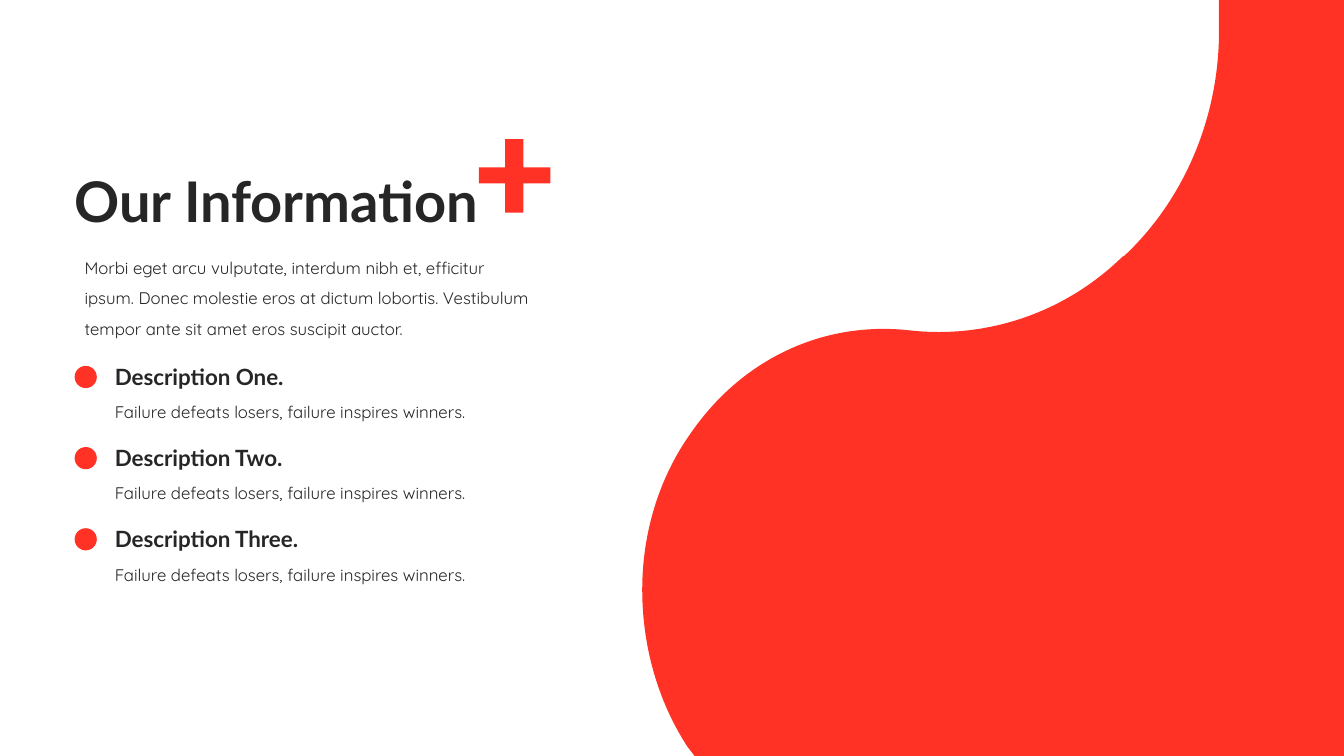
from lxml.etree import SubElement
from pptx import Presentation
from pptx.dml.color import RGBColor
from pptx.enum.shapes import MSO_SHAPE
from pptx.enum.text import MSO_ANCHOR, MSO_AUTO_SIZE, PP_ALIGN
from pptx.oxml.ns import qn
from pptx.util import Inches, Pt

WIDTH, HEIGHT = 13.33, 7.5
RED, DARK = "FF3225", "262626"
MARGIN_COLUMN, TEXT_COLUMN = 0.74, 1.04
FIRST_ROW, ROW_PITCH = 3.55, 0.805
DOT_SIZE = 0.22

HEADING = {"name": "Lato", "size": Pt(16), "bold": True}
TITLE = {**HEADING, "size": Pt(40)}
BODY = {"name": "Quicksand", "size": Pt(12), "bold": False}

DESCRIPTIONS = ["Description One.", "Description Two.", "Description Three."]
DETAIL = "Failure defeats losers, failure inspires winners."
INTRODUCTION = (
    "Morbi eget arcu vulputate, interdum nibh et, efficitur ipsum. "
    "Donec molestie eros at dictum lobortis. Vestibulum tempor ante "
    "sit amet eros suscipit auctor."
)

WAVE_CORNERS = [(12.09, 0), (WIDTH, 0), (WIDTH, HEIGHT), (6.89, HEIGHT), (6.82, 7.41)]
WAVE_CURVES = [
    (6.52, 6.95), (6.37, 6.4), (6.37, 5.85),
    (6.37, 5.3), (6.53, 4.75), (6.85, 4.3),
    (7.38, 3.53), (8.21, 3.18), (9.04, 3.28),
    (9.8, 3.36), (10.56, 3.1), (11.12, 2.56),
    (11.13, 2.55), (11.14, 2.54), (11.15, 2.54),
    (11.76, 1.97), (12.11, 1.12), (12.09, 0.24),
]


def color(hex_value):
    return RGBColor.from_string(hex_value)


def box(left, top, width, height):
    return [Inches(length) for length in (left, top, width, height)]


def paint(shape):
    shape.shadow.inherit = False
    shape.fill.solid()
    shape.fill.fore_color.rgb = color(RED)
    shape.line.fill.background()


def write(shape, text, font, anchor=MSO_ANCHOR.TOP, alignment=PP_ALIGN.LEFT, spacing=1.0):
    frame = shape.text_frame
    frame.text = text
    frame.word_wrap = True
    frame.auto_size = MSO_AUTO_SIZE.NONE
    frame.vertical_anchor = anchor
    paragraph = frame.paragraphs[0]
    paragraph.alignment = alignment
    paragraph.line_spacing = spacing
    run_font = paragraph.runs[0].font
    for attribute, value in font.items():
        setattr(run_font, attribute, value)
    run_font.color.rgb = color(DARK)


def add_outline(slide, points):
    vertices = [(Inches(x), Inches(y)) for x, y in points]
    builder = slide.shapes.build_freeform(*vertices[0])
    builder.add_line_segments(vertices[1:], close=True)
    shape = builder.convert_to_shape()
    paint(shape)
    return shape


def bend(shape, first_segment):
    """Turn each three line segments from first_segment on into one cubic curve."""
    outline = next(shape._element.iter(qn("a:path")))
    segments = outline.findall(qn("a:lnTo"))[first_segment:]
    for start in range(0, len(segments), 3):
        curve = SubElement(outline, qn("a:cubicBezTo"))
        segments[start].addprevious(curve)
        for segment in segments[start:start + 3]:
            curve.append(segment[0])
            outline.remove(segment)


def add_wave(slide):
    wave = add_outline(slide, WAVE_CORNERS + WAVE_CURVES)
    bend(wave, len(WAVE_CORNERS) - 1)


def add_plus(slide):
    left, inner_left, inner_right, right = 4.75, 5.01, 5.19, 5.46
    top, inner_top, inner_bottom, bottom = 1.38, 1.66, 1.82, 2.11
    add_outline(slide, [
        (inner_left, top), (inner_right, top), (inner_right, inner_top),
        (right, inner_top), (right, inner_bottom), (inner_right, inner_bottom),
        (inner_right, bottom), (inner_left, bottom), (inner_left, inner_bottom),
        (left, inner_bottom), (left, inner_top), (inner_left, inner_top),
    ])


def add_description(slide, row, heading):
    top = FIRST_ROW + row * ROW_PITCH
    shapes = slide.shapes.add_group_shape().shapes
    write(shapes.add_textbox(*box(TEXT_COLUMN, top, 2.85, 0.37)),
          heading, HEADING, anchor=MSO_ANCHOR.MIDDLE)
    write(shapes.add_textbox(*box(TEXT_COLUMN, top + 0.29, 4.05, 0.4)),
          DETAIL, BODY, alignment=PP_ALIGN.JUSTIFY, spacing=1.5)
    paint(shapes.add_shape(
        MSO_SHAPE.OVAL, *box(MARGIN_COLUMN, top + 0.08, DOT_SIZE, DOT_SIZE)))


def add_title(slide):
    title = slide.shapes.title
    title.left, title.top, title.width, title.height = box(0.64, 1.3, 5.08, 1.45)
    write(title, "Our Information", TITLE, anchor=MSO_ANCHOR.MIDDLE, spacing=0.9)


def main():
    presentation = Presentation()
    presentation.slide_width = Inches(WIDTH)
    presentation.slide_height = Inches(HEIGHT)
    title_only = presentation.slide_layouts[5]
    slide = presentation.slides.add_slide(title_only)
    add_wave(slide)
    for row, heading in enumerate(DESCRIPTIONS):
        add_description(slide, row, heading)
    write(slide.shapes.add_textbox(*box(MARGIN_COLUMN, 2.41, 4.61, 1.01)),
          INTRODUCTION, BODY, spacing=1.5)
    add_plus(slide)
    add_title(slide)
    presentation.save("out.pptx")


if __name__ == "__main__":
    main()
